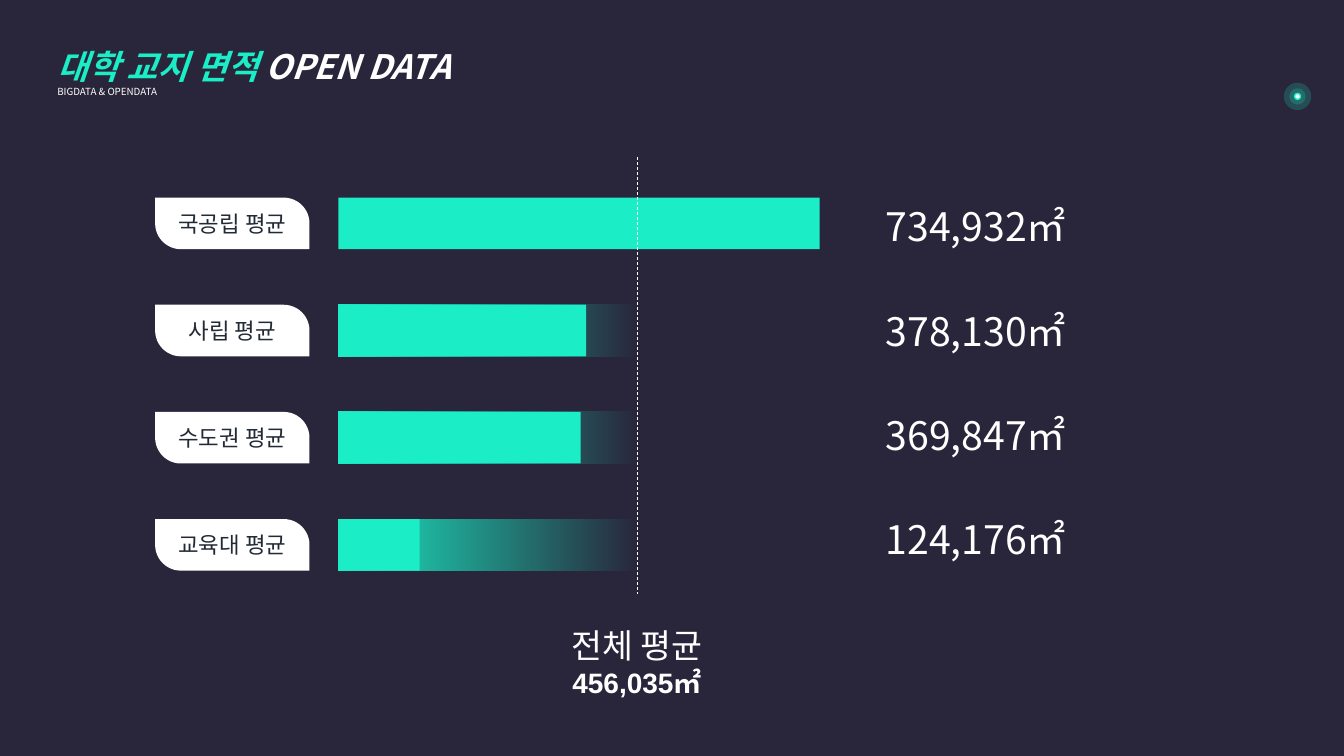
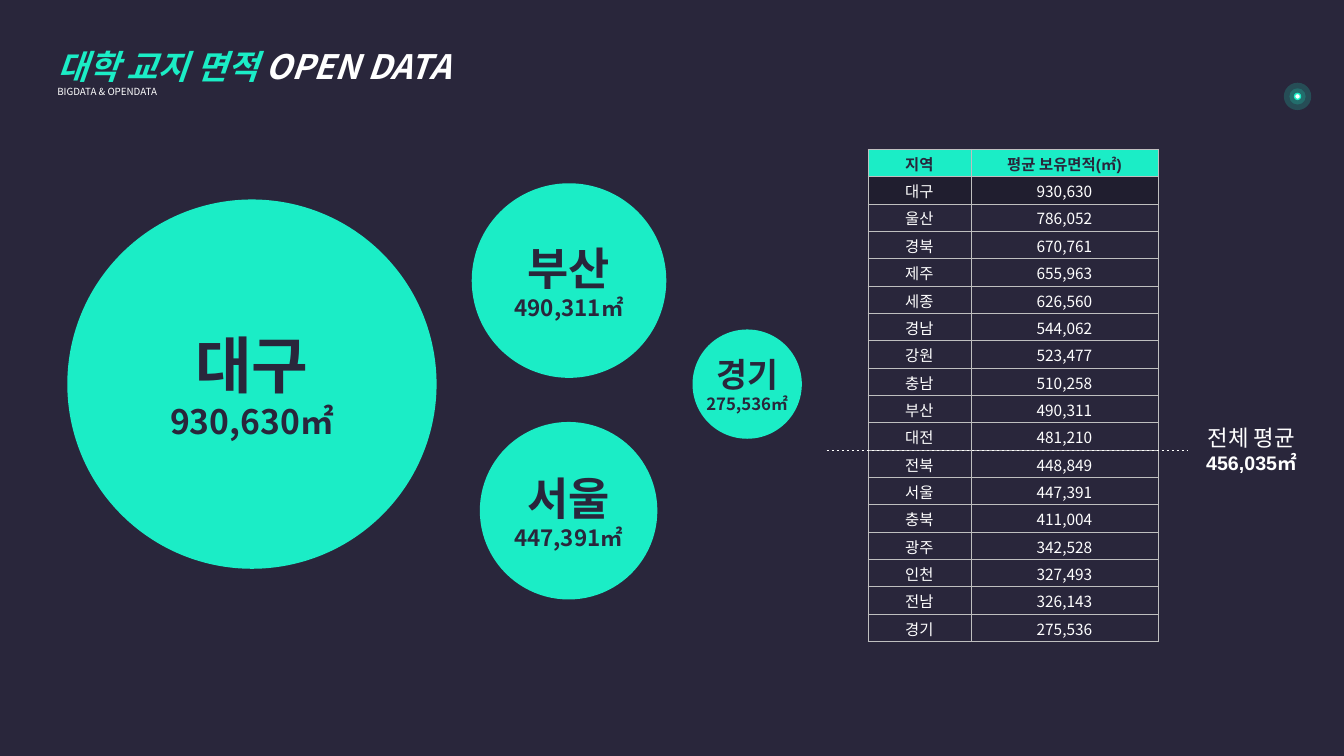
from lxml import etree
from pptx import Presentation
from pptx.dml.color import RGBColor
from pptx.enum import dml, shapes, text
from pptx.oxml import ns
from pptx.util import Cm, Pt

COLORS = {
    "background": "29263B",
    "accent": "1BEDC6",
    "white": "FFFFFF",
    "label": "222A35",
    "border": "BFBFBF",
    "black": "000000",
}
SANS = "Noto Sans CJK KR"
ARIAL = "Arial"
TITLE_ONLY = 5
OVERALL_AVERAGE = 456035

BAR_AVERAGES = [
    ("국공립 평균", 734932),
    ("사립 평균", 378130),
    ("수도권 평균", 369847),
    ("교육대 평균", 124176),
]
REGIONS = [
    ("대구", 930630), ("울산", 786052), ("경북", 670761), ("제주", 655963),
    ("세종", 626560), ("경남", 544062), ("강원", 523477), ("충남", 510258),
    ("부산", 490311), ("대전", 481210), ("전북", 448849), ("서울", 447391),
    ("충북", 411004), ("광주", 342528), ("인천", 327493), ("전남", 326143),
    ("경기", 275536),
]
# region: (centre x, centre y, name size, area size), relative to the bubble area
BUBBLES = {
    "대구": (4.65, 5.06, 44, 24),
    "서울": (12.63, 8.25, 32, 16),
    "경기": (17.13, 5.06, 24, 12),
    "부산": (12.64, 2.45, 32, 16),
}


def rgb(name):
    return RGBColor.from_string(COLORS[name])


def area_text(value):
    return f"{value:,}㎡"


def style(text_run, size, color, face=SANS, **emphasis):
    font = text_run.font
    font.color.rgb = rgb(color)
    for name, value in {"name": face, "size": Pt(size), **emphasis}.items():
        setattr(font, name, value)
    east_asian = etree.SubElement(text_run._r.get_or_add_rPr(), ns.qn("a:ea"))
    east_asian.set("typeface", SANS)


def write(frame, lines, align=text.PP_ALIGN.CENTER, **frame_format):
    """Fill a frame; each line is a list of (text, style arguments) runs."""
    for name, value in frame_format.items():
        setattr(frame, name, value)
    for index, runs in enumerate(lines):
        paragraph = frame.add_paragraph() if index else frame.paragraphs[0]
        paragraph.alignment = align
        for content, run_format in runs:
            text_run = paragraph.add_run()
            text_run.text = content
            style(text_run, **run_format)


def set_alpha(color_element, percent):
    alpha = etree.SubElement(color_element, ns.qn("a:alpha"))
    alpha.set("val", str(percent * 1000))


def color_elements(element):
    return list(element.iter(ns.qn("a:srgbClr")))


def add_shape(slide, kind, left, top, width, height, color, alpha=None):
    shape = slide.shapes.add_shape(kind, Cm(left), Cm(top), Cm(width), Cm(height))
    shape.shadow.inherit = False
    shape.line.fill.background()
    shape.fill.solid()
    shape.fill.fore_color.rgb = rgb(color)
    if alpha is not None:
        set_alpha(color_elements(shape._element.spPr)[0], alpha)
    return shape


def add_circle(slide, center_x, center_y, diameter, color, alpha=None):
    return add_shape(slide, shapes.MSO_SHAPE.OVAL, center_x - diameter / 2,
                     center_y - diameter / 2, diameter, diameter, color, alpha)


def add_text(slide, left, top, width, height, lines, **options):
    box = slide.shapes.add_textbox(Cm(left), Cm(top), Cm(width), Cm(height))
    write(box.text_frame, lines, **options)


def add_dashed_line(slide, *ends):
    line = slide.shapes.add_connector(
        shapes.MSO_CONNECTOR.STRAIGHT, *(Cm(value) for value in ends))
    line.line.color.rgb = rgb("white")
    line.line.width = Pt(0.5)
    line.line.dash_style = dml.MSO_LINE.DASH
    etree.SubElement(line._element.spPr, ns.qn("a:effectLst"))


def add_average_caption(slide, left, top, width, height, name_size, area_size):
    add_text(slide, left, top, width, height, [
        [("전체 평균", dict(size=name_size, color="white"))],
        [(area_text(OVERALL_AVERAGE),
          dict(size=area_size, color="white", face=ARIAL, bold=True))],
    ], word_wrap=False)


def add_beacon(slide, center_x, center_y):
    for diameter in (0.69, 0.41):
        add_circle(slide, center_x, center_y, diameter, "accent", alpha=20)
    dot = add_circle(slide, center_x, center_y, 0.15, "white")
    dot.line.color.rgb = rgb("accent")
    dot.line.width = Pt(1)


def add_titled_slide(presentation):
    slide = presentation.slides.add_slide(presentation.slide_layouts[TITLE_ONLY])
    title = slide.shapes.title
    bounds = {"left": 1.19, "top": 0.51, "width": 16.92, "height": 2.08}
    for name, value in bounds.items():
        setattr(title, name, Cm(value))
    heading = dict(size=24, bold=True, italic=True)
    write(title.text_frame, [
        [("대학 교지 면적 ", dict(color="accent", **heading)),
         ("OPEN DATA", dict(color="white", **heading))],
        [("BIGDATA & OPENDATA", dict(size=7, color="white"))],
    ], align=text.PP_ALIGN.LEFT, vertical_anchor=text.MSO_ANCHOR.TOP,
        word_wrap=True, auto_size=text.MSO_AUTO_SIZE.SHAPE_TO_FIT_TEXT)
    title.text_frame.paragraphs[0].line_spacing = 1.5
    add_beacon(slide, 32.7, 2.43)
    return slide


def add_fading_bar(slide, left, top, width, height):
    bar = add_shape(slide, shapes.MSO_SHAPE.RECTANGLE, left, top, width, height, "accent")
    bar.fill.gradient()
    bar.fill.gradient_angle = 180
    for stop in bar.fill.gradient_stops:
        stop.color.rgb = rgb("accent")
    set_alpha(color_elements(bar._element.spPr)[0], 0)


def add_bars(slide, left, top):
    """Draw label, bar and area per row; bar lengths follow the areas."""
    bar_left, bar_height, bar_pitch = left + 4.62, 1.3, 2.7
    area_left, area_pitch = left + 18.16, 2.63
    cm_per_unit = 16.5 / 1_000_000
    average_width = OVERALL_AVERAGE * cm_per_unit
    average_x = bar_left + average_width
    for row, (name, value) in enumerate(BAR_AVERAGES):
        bar_top = top + row * bar_pitch
        if value < OVERALL_AVERAGE:
            add_fading_bar(slide, bar_left, bar_top, average_width, bar_height)
        add_shape(slide, shapes.MSO_SHAPE.RECTANGLE, bar_left, bar_top,
                  value * cm_per_unit, bar_height, "accent")
        label = add_shape(slide, shapes.MSO_SHAPE.ROUND_2_DIAG_RECTANGLE,
                          left, bar_top, 3.89, bar_height, "white")
        label.adjustments[0], label.adjustments[1] = 0, 0.5
        write(label.text_frame, [[(name, dict(size=16, color="label"))]],
              vertical_anchor=text.MSO_ANCHOR.MIDDLE)
        add_text(slide, area_left, top + row * area_pitch, 6.35, 1.45,
                 [[(area_text(value), dict(size=28, color="white"))]],
                 align=text.PP_ALIGN.LEFT, word_wrap=True)
    add_dashed_line(slide, average_x, top - 1.02, average_x, top + 9.98)
    add_average_caption(slide, average_x - 4.09, top + 10.64, 8.18, 2.13, 24, 20)


def add_bubbles(slide, left, top):
    """Draw circles whose diameters follow the areas."""
    areas = dict(REGIONS)
    for name, (x, y, name_size, area_size) in BUBBLES.items():
        bubble = add_circle(slide, left + x, top + y, areas[name] / 100_000, "accent")
        look = dict(color="background", bold=True)
        write(bubble.text_frame, [
            [(name, dict(size=name_size, **look))],
            [(area_text(areas[name]), dict(size=area_size, **look))],
        ], vertical_anchor=text.MSO_ANCHOR.MIDDLE, word_wrap=False)


def add_cell_borders(cell):
    properties = cell._tc.get_or_add_tcPr()
    for side in ("lnL", "lnR", "lnT", "lnB"):
        line = etree.SubElement(properties, ns.qn(f"a:{side}"), w=str(Pt(0.5)))
        fill = etree.SubElement(line, ns.qn("a:solidFill"))
        etree.SubElement(fill, ns.qn("a:srgbClr"), val=COLORS["border"])


def fill_cell(cell, content, look, fill=None, alpha=None):
    add_cell_borders(cell)
    if fill:
        cell.fill.solid()
        cell.fill.fore_color.rgb = rgb(fill)
        if alpha is not None:
            set_alpha(color_elements(cell._tc.tcPr)[-1], alpha)
    else:
        cell.fill.background()
    margins = {"margin_left": 0.03, "margin_right": 0.03,
               "margin_top": 0.03, "margin_bottom": 0}
    for name, value in margins.items():
        setattr(cell, name, Cm(value))
    cell.vertical_anchor = text.MSO_ANCHOR.MIDDLE
    write(cell.text_frame, [[(content, dict(size=11, **look))]])


def add_region_table(slide, left, top):
    """Draw the ranking, with a dashed line where the average falls."""
    row_height, column_widths = 0.69, (2.6, 4.71)
    width = sum(column_widths)
    rows = [("지역", "평균 보유면적(㎡)")]
    rows += [(name, f"{value:,}") for name, value in REGIONS]
    table = slide.shapes.add_table(
        len(rows), 2, Cm(left), Cm(top), Cm(width), Cm(row_height * len(rows))).table
    table.first_row = table.horz_banding = False
    for column, column_width in zip(table.columns, column_widths):
        column.width = Cm(column_width)
    header = dict(color="background", face=ARIAL, bold=True)
    body = dict(color="white", bold=False)
    fills = {0: ("accent",), 1: ("black", 20)}
    for index, contents in enumerate(rows):
        table.rows[index].height = Cm(row_height)
        for cell, content in zip(table.rows[index].cells, contents):
            fill_cell(cell, content, body if index else header, *fills.get(index, ()))

    rows_above = 1 + sum(value > OVERALL_AVERAGE for _, value in REGIONS)
    average_y = top + rows_above * row_height
    line_end = left + width + 0.75
    add_average_caption(slide, line_end + 0.15, average_y - 0.78, 2.92, 1.55, 16, 14)
    add_dashed_line(slide, left - 1.04, average_y, line_end, average_y)


def main():
    presentation = Presentation()
    presentation.slide_width, presentation.slide_height = Cm(33.87), Cm(19.05)
    background = presentation.slide_master.background.fill
    background.solid()
    background.fore_color.rgb = rgb("background")

    add_bars(add_titled_slide(presentation), left=3.91, top=4.98)

    region_slide = add_titled_slide(presentation)
    add_region_table(region_slide, left=21.87, top=3.76)
    add_bubbles(region_slide, left=1.7, top=4.62)

    presentation.save("out.pptx")


if __name__ == "__main__":
    main()
